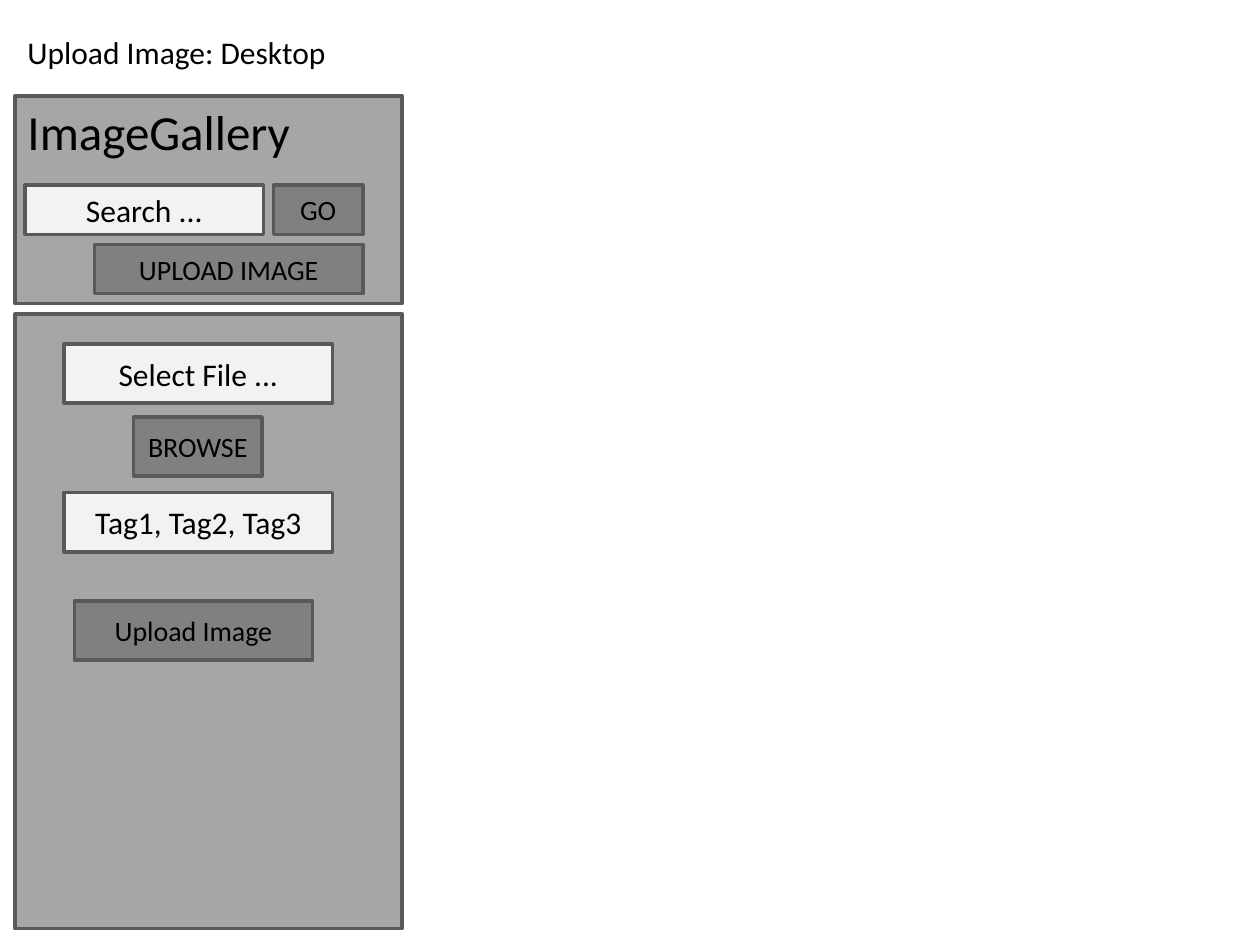
"""Build the upload-image wireframe slide."""
from pptx import Presentation
from pptx.dml.color import RGBColor
from pptx.enum.shapes import MSO_SHAPE as Shape
from pptx.enum.text import MSO_ANCHOR as Anchor, MSO_AUTO_SIZE as AutoSize, PP_ALIGN as Align
from pptx.util import Inches, Pt

FONT = "Calibri"
BLACK = "000000"
BORDER = "595959"
STYLES = {
    "panel": ("A6A6A6", 18),
    "field": ("F2F2F2", 18),
    "button": ("808080", 16),
}
MARGIN = 0.12
HEADER_TOP = 0.76
PANEL_WIDTH = 3.07
HEADER_ROW = 0.39
FORM_ROW = 0.47

PANELS = [
    ("panel", "", MARGIN, HEADER_TOP, PANEL_WIDTH, 1.65),
    ("panel", "", MARGIN, 2.49, PANEL_WIDTH, 4.88),
]
CONTROLS = [
    ("field", "Search ...", 0.2, 1.47, 1.89, HEADER_ROW),
    ("button", "GO", 2.17, 1.47, 0.71, HEADER_ROW),
    ("button", "UPLOAD IMAGE", 0.75, 1.94, 2.13, HEADER_ROW),
    ("field", "Select File ...", 0.51, 2.73, 2.13, FORM_ROW),
    ("button", "BROWSE", 1.06, 3.31, 1.02, FORM_ROW),
    ("field", "Tag1, Tag2, Tag3", 0.51, 3.91, 2.13, FORM_ROW),
    ("button", "Upload Image", 0.59, 4.77, 1.89, FORM_ROW),
]
TITLES = [
    ("Upload Image: Desktop", 18, 0.21, 2.6, 0.4),
    ("ImageGallery", 28, HEADER_TOP, 2.3, 0.57),
]


def color(value):
    return RGBColor.from_string(value)


def write(frame, text, size, align):
    para = frame.paragraphs[0]
    para.text = text
    para.alignment = align
    para.font.name = FONT
    para.font.size = Pt(size)
    para.font.color.rgb = color(BLACK)


def add_block(page, style, text, *place):
    fill, size = STYLES[style]
    block = page.shapes.add_shape(Shape.RECTANGLE, *map(Inches, place))
    block.shadow.inherit = False
    block.fill.solid()
    block.fill.fore_color.rgb = color(fill)
    block.line.color.rgb = color(BORDER)
    block.line.width = Pt(2)
    if text:
        block.text_frame.vertical_anchor = Anchor.MIDDLE
        write(block.text_frame, text, size, Align.CENTER)


def add_title(page, text, size, top, width, height):
    box = page.shapes.add_textbox(*map(Inches, (MARGIN, top, width, height)))
    frame = box.text_frame
    frame.word_wrap = False
    frame.auto_size = AutoSize.SHAPE_TO_FIT_TEXT
    write(frame, text, size, Align.LEFT)


def main():
    deck = Presentation()
    deck.slide_width, deck.slide_height = Inches(10), Inches(7.5)
    page = deck.slides.add_slide(deck.slide_layouts[6])
    for block in PANELS + CONTROLS:
        add_block(page, *block)
    for title in TITLES:
        add_title(page, *title)
    deck.save("out.pptx")


if __name__ == "__main__":
    main()
